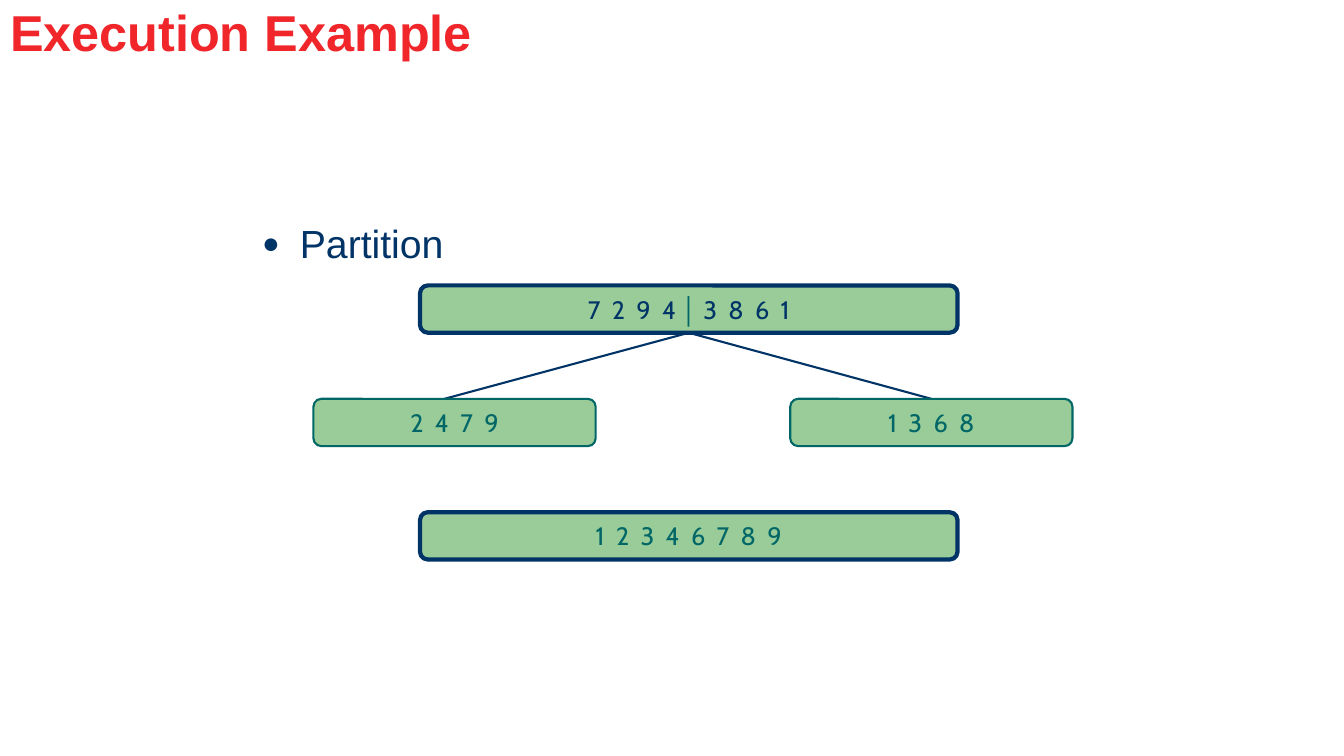
from lxml.etree import SubElement
from pptx import Presentation
from pptx.dml.color import RGBColor
from pptx.enum.shapes import MSO_CONNECTOR, MSO_SHAPE
from pptx.enum.text import MSO_ANCHOR, MSO_AUTO_SIZE, PP_ALIGN
from pptx.oxml.ns import qn
from pptx.util import Pt

RED, NAVY, TEAL, GREEN = "F0262B", "003366", "006666", "99CC99"
TOP, STEP, HIGH = 203.9, 81, 33.8


def paint(target, color):
    """Give a font, fill or line format a solid hex colour."""
    if hasattr(target, "solid"):
        target.solid()
        target.fore_color.rgb = RGBColor.from_string(color)
    else:
        target.color.rgb = RGBColor.from_string(color)


def style(font, name, size, color, bold=False):
    """Set the face, size, colour and weight of a font."""
    font.name, font.size, font.bold = name, Pt(size), bold
    paint(font, color)


def place(shape, left, top, width, height):
    """Move a placeholder and fix its size."""
    shape.left, shape.top = Pt(left), Pt(top)
    shape.width, shape.height = Pt(width), Pt(height)
    shape.text_frame.auto_size = MSO_AUTO_SIZE.NONE


def add_title(slide, text):
    """Fill the title placeholder."""
    title = slide.shapes.title
    place(title, 0, 2.2, 630, 46)
    frame = title.text_frame
    frame.text = text
    frame.vertical_anchor = MSO_ANCHOR.BOTTOM
    para = frame.paragraphs[0]
    para.alignment, para.line_spacing = PP_ALIGN.LEFT, 0.9
    style(para.runs[0].font, "Arial", 36, RED, True)


def add_bullet(para, color):
    """Put a hanging round bullet before a paragraph."""
    props = para._p.get_or_add_pPr()
    props.set("marL", str(Pt(27)))
    props.set("indent", str(Pt(-27)))
    tint = SubElement(props, qn("a:buClr"))
    SubElement(tint, qn("a:srgbClr"), val=color)
    SubElement(props, qn("a:buSzPct"), val="75000")
    SubElement(props, qn("a:buFont"), typeface="Arial")
    SubElement(props, qn("a:buChar"), char="●")


def add_list(slide, text):
    """Fill the body placeholder with one bulleted item."""
    body = slide.placeholders[1]
    place(body, 180, 149.8, 612, 41)
    frame = body.text_frame
    frame.text = text
    frame.margin_top = Pt(7)
    para = frame.paragraphs[0]
    add_bullet(para, NAVY)
    para.space_before = Pt(0)
    style(para.runs[0].font, "Arial", 28, NAVY)


def add_box(slide, left, row, width, edge, weight, parts):
    """Add a rounded box holding runs given as text, face, colour, bold."""
    box = slide.shapes.add_shape(MSO_SHAPE.ROUNDED_RECTANGLE, Pt(left),
                                 Pt(TOP + STEP * row), Pt(width), Pt(HIGH))
    box.shadow.inherit = False
    paint(box.fill, GREEN)
    paint(box.line, edge)
    box.line.width = Pt(weight)
    frame = box.text_frame
    frame.word_wrap = False
    frame.vertical_anchor = MSO_ANCHOR.MIDDLE
    para = frame.paragraphs[0]
    para.alignment = PP_ALIGN.CENTER
    for text, face, color, bold in parts:
        run = para.add_run()
        run.text = text
        style(run.font, face, 18, color, bold)


def add_branch(slide, left):
    """Join a lower box to the middle of the top box."""
    line = slide.shapes.add_connector(MSO_CONNECTOR.STRAIGHT, Pt(left), Pt(TOP + STEP),
                                      Pt(492), Pt(TOP + HIGH))
    SubElement(line._element.spPr, qn("a:effectLst"))
    paint(line.line, NAVY)
    line.line.width = Pt(1.5)


def main():
    """Build the merge sort slide."""
    deck = Presentation()
    deck.slide_width, deck.slide_height = Pt(960), Pt(540)
    slide = deck.slides.add_slide(deck.slide_layouts[1])
    add_title(slide, "Execution Example")
    add_list(slide, "Partition")
    add_box(slide, 300, 0, 384, NAVY, 3, [("7  2  9  4 ", "Cabin", NAVY, False),
                                          ("│", "Arial", TEAL, True),
                                          (" 3  8  6  1", "Cabin", NAVY, False)])
    for left in (317.5, 665.3):
        add_branch(slide, left)
    for left, row, width, edge, weight, text in (
            (223.9, 1, 201.6, TEAL, 1.5, "2  4  7  9"),
            (564.5, 1, 201.6, TEAL, 1.5, "1  3  6  8"),
            (300, 2, 384, NAVY, 3, "1  2  3  4  6  7  8  9")):
        add_box(slide, left, row, width, edge, weight, [(text, "Cabin", TEAL, False)])
    deck.save("out.pptx")


if __name__ == "__main__":
    main()
